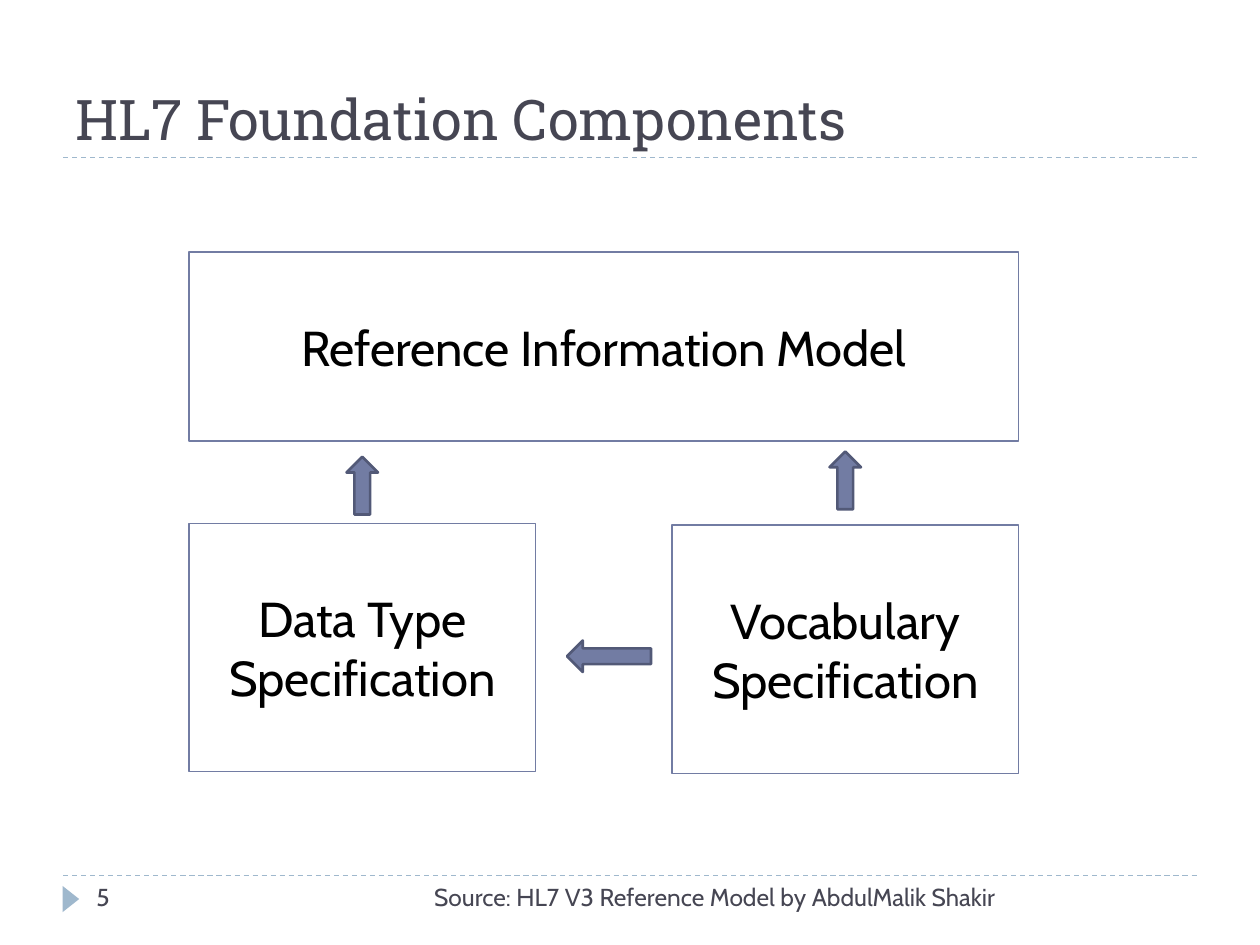
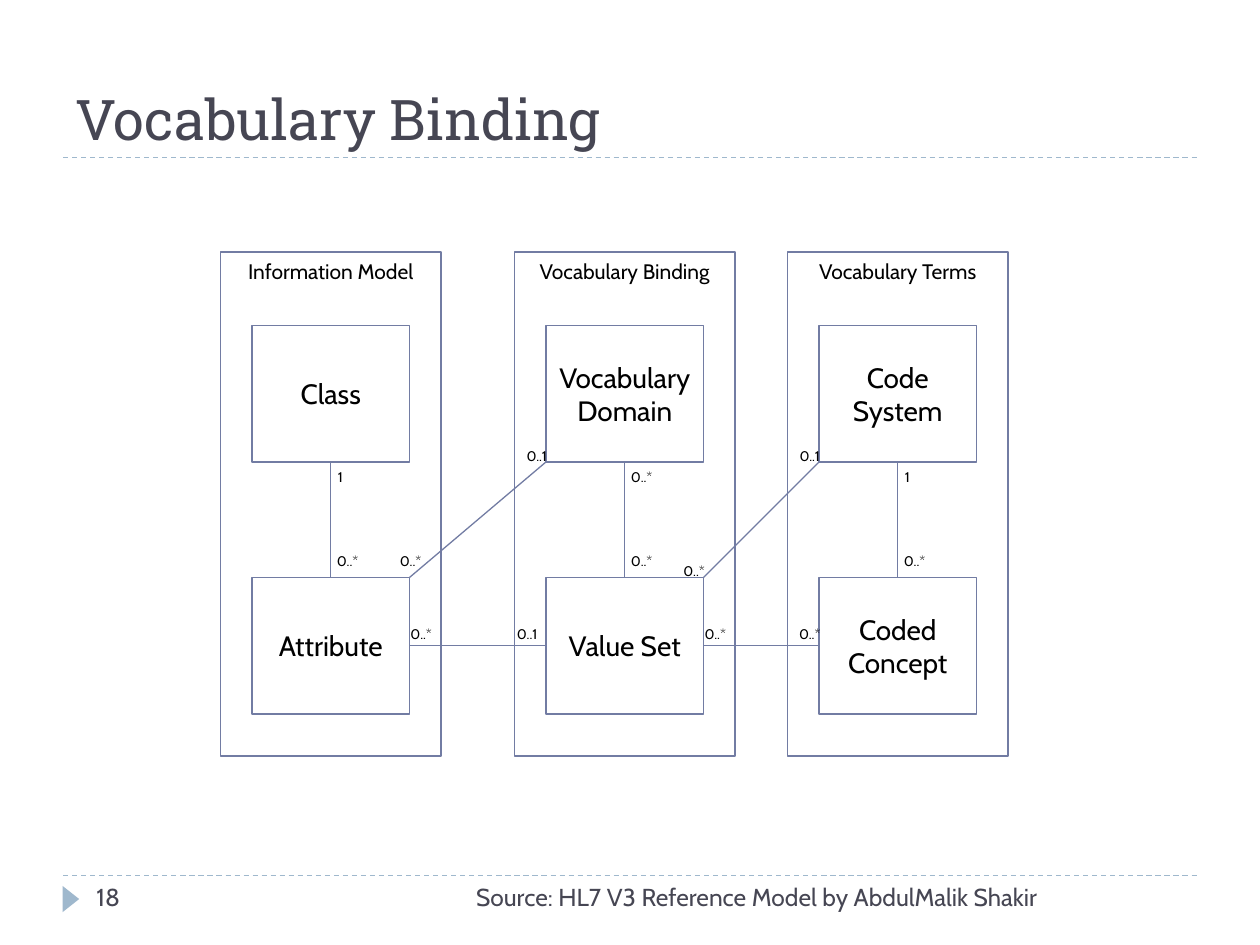
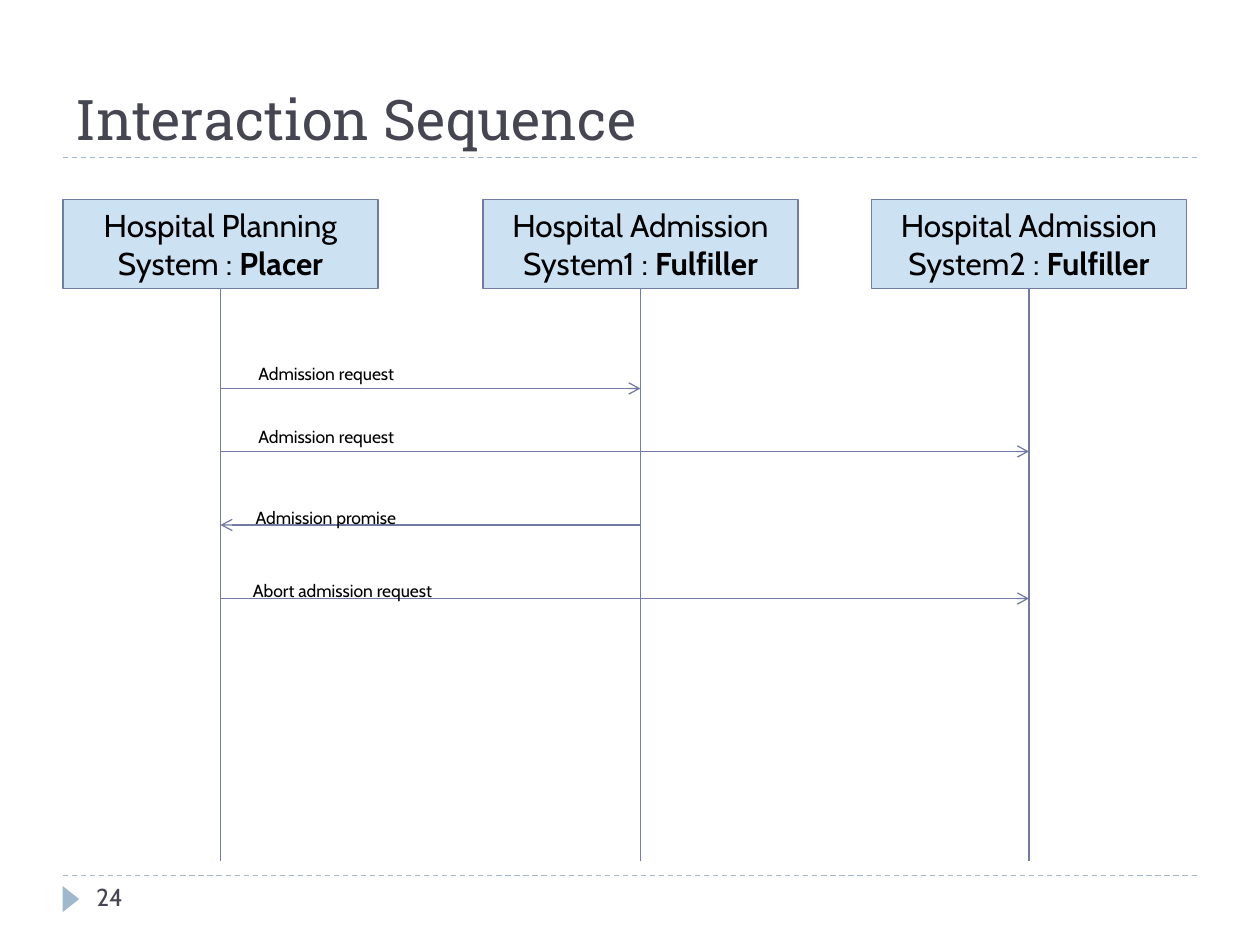
from dataclasses import dataclass
from typing import Optional

from lxml.etree import SubElement
from pptx import Presentation
from pptx.dml.color import RGBColor
from pptx.enum.dml import MSO_LINE
from pptx.enum.shapes import MSO_CONNECTOR, MSO_SHAPE
from pptx.enum.text import MSO_ANCHOR, PP_ALIGN
from pptx.oxml.ns import qn
from pptx.util import Pt

COLORS = {
    "text": "000000",
    "heading": "464653",
    "outline": "727CA3",
    "arrow_edge": "525977",
    "accent": "9FB8CD",
    "header": "0070C0",
}
BODY_FONT = "Cabin"
TITLE_FONT = "Roboto Slab"
TOP, LEFT, BOTTOM, RIGHT = 0, 1, 2, 3
SOURCE = "Source: HL7 V3 Reference Model by AbdulMalik Shakir"


@dataclass(frozen=True)
class Frame:
    left: float
    top: float
    width: float
    height: float

    @property
    def right(self) -> float:
        return self.left + self.width

    @property
    def bottom(self) -> float:
        return self.top + self.height

    @property
    def center(self) -> float:
        return self.left + self.width / 2

    def lengths(self) -> tuple:
        return Pt(self.left), Pt(self.top), Pt(self.width), Pt(self.height)


@dataclass(frozen=True)
class TextStyle:
    size: float
    color: str = "text"
    font: str = BODY_FONT
    align: PP_ALIGN = PP_ALIGN.LEFT
    anchor: MSO_ANCHOR = MSO_ANCHOR.TOP
    wrap: bool = True


@dataclass(frozen=True)
class Column:
    left: float
    heading: str
    upper: str
    lower: str
    upper_count: str


@dataclass(frozen=True)
class Label:
    left: float
    top: float
    text: str


@dataclass(frozen=True)
class Participant:
    left: float
    system: str
    role: str


@dataclass(frozen=True)
class Message:
    text: str
    sender: int
    receiver: int
    line_top: float
    label: Frame


TITLE_STYLE = TextStyle(32, "heading", TITLE_FONT, anchor=MSO_ANCHOR.BOTTOM)
NUMBER_STYLE = TextStyle(14, "heading")
SOURCE_STYLE = TextStyle(14, "heading", align=PP_ALIGN.RIGHT)
COMPONENT_STYLE = TextStyle(28, align=PP_ALIGN.CENTER, anchor=MSO_ANCHOR.MIDDLE)
PANEL_STYLE = TextStyle(12, align=PP_ALIGN.CENTER)
ENTITY_STYLE = TextStyle(16, align=PP_ALIGN.CENTER, anchor=MSO_ANCHOR.MIDDLE)
COUNT_STYLE = TextStyle(8, align=PP_ALIGN.CENTER, wrap=False)
HEADER_STYLE = TextStyle(18, align=PP_ALIGN.CENTER)
MESSAGE_STYLE = TextStyle(10, wrap=False)

COMPONENTS = [
    (Frame(108, 144, 474, 108), ["Reference Information Model"]),
    (Frame(108, 299, 198, 142), ["Data Type", "Specification"]),
    (Frame(384, 300, 198, 142), ["Vocabulary", "Specification"]),
]
BLOCK_ARROWS = [
    (Frame(324, 366, 48, 18), 0),
    (Frame(190.5, 268.5, 33, 18), 90),
    (Frame(466.5, 265.5, 33, 18), 90),
]
COLUMNS = [
    Column(126, "Information Model", "Class", "Attribute", "1"),
    Column(294, "Vocabulary Binding", "Vocabulary Domain", "Value Set", "0..*"),
    Column(450, "Vocabulary Terms", "Code System", "Coded Concept", "1"),
]
COUNTS = [
    Label(221, 312, "0..*"),
    Label(227, 354, "0..*"),
    Label(395, 354, "0..*"),
    Label(449, 354, "0..*"),
    Label(383, 318, "0..*"),
    Label(293, 252, "0..1"),
    Label(287.5, 354, "0..1"),
    Label(449, 252, "0..1"),
]
PARTICIPANTS = [
    Participant(36, "Hospital Planning System : ", "Placer"),
    Participant(276, "Hospital Admission System1 : ", "Fulfiller"),
    Participant(498, "Hospital Admission System2 : ", "Fulfiller"),
]
MESSAGES = [
    Message("Admission request", 0, 1, 222, Frame(140.5, 204, 101.5, 19.5)),
    Message("Admission request", 0, 2, 258, Frame(140.5, 240, 101.5, 19.5)),
    Message("Admission promise", 1, 0, 300, Frame(139, 286, 103.5, 19.5)),
    Message("Abort admission request", 0, 2, 342, Frame(137.5, 328, 129.5, 19.5)),
]


def rgb(name: str) -> RGBColor:
    return RGBColor.from_string(COLORS[name])


def style_text(shape, style: TextStyle) -> None:
    frame = shape.text_frame
    frame.word_wrap = style.wrap
    frame.vertical_anchor = style.anchor
    for para in frame.paragraphs:
        para.alignment = style.align
        for span in para.runs:
            span.font.size = Pt(style.size)
            span.font.name = style.font
            span.font.color.rgb = rgb(style.color)


def add_text(page, frame: Frame, text: str, style: TextStyle):
    box = page.shapes.add_textbox(*frame.lengths())
    box.text_frame.text = text
    style_text(box, style)
    return box


def add_preset(page, preset: MSO_SHAPE, frame: Frame, fill: Optional[str] = None,
               edge: Optional[str] = None, edge_width: float = 0.75):
    shape = page.shapes.add_shape(preset, *frame.lengths())
    shape.shadow.inherit = False
    if fill:
        shape.fill.solid()
        shape.fill.fore_color.rgb = rgb(fill)
    else:
        shape.fill.background()
    if edge:
        shape.line.color.rgb = rgb(edge)
        shape.line.width = Pt(edge_width)
    else:
        shape.line.fill.background()
    return shape


def add_box(page, frame: Frame, text: str, style: TextStyle):
    box = add_preset(page, MSO_SHAPE.RECTANGLE, frame, edge="outline")
    box.text_frame.text = text
    style_text(box, style)
    return box


def add_line(page, start: tuple, end: tuple, color: str = "outline"):
    line = page.shapes.add_connector(
        MSO_CONNECTOR.STRAIGHT, *(Pt(value) for value in (*start, *end)))
    line.line.color.rgb = rgb(color)
    line.line.width = Pt(0.75)
    SubElement(line._element.spPr, qn("a:effectLst"))
    return line


def join_boxes(page, first, first_side: int, second, second_side: int) -> None:
    line = add_line(page, (0, 0), (0, 0))
    line.begin_connect(first, first_side)
    line.end_connect(second, second_side)


def add_page(deck, title: str, number: str, source_right: Optional[float] = None):
    page = deck.slides.add_slide(deck.slide_layouts[6])
    for top in (500.5, 90):
        rule = add_line(page, (36, top), (684, top), "accent")
        rule.line.dash_style = MSO_LINE.DASH
    marker = add_preset(page, MSO_SHAPE.ISOSCELES_TRIANGLE,
                        Frame(33, 509, 15, 9.5), "accent")
    marker.rotation = 90
    add_text(page, Frame(36, 18, 648, 72), title, TITLE_STYLE)
    add_text(page, Frame(48, 500.5, 156, 29), number, NUMBER_STYLE)
    if source_right:
        add_text(page, Frame(228, 500.5, source_right - 228, 29), SOURCE, SOURCE_STYLE)
    return page


def add_count(page, label: Label) -> None:
    width = 19 if len(label.text) == 1 else 27.5
    add_text(page, Frame(label.left, label.top, width, 17), label.text, COUNT_STYLE)


def build_components(deck) -> None:
    page = add_page(deck, "HL7 Foundation Components", "5", 576)
    for frame, lines in COMPONENTS:
        add_box(page, frame, "\n".join(lines), COMPONENT_STYLE)
    for frame, angle in BLOCK_ARROWS:
        arrow = add_preset(page, MSO_SHAPE.LEFT_ARROW, frame, "outline", "arrow_edge", 1.5)
        arrow.rotation = angle


def build_binding(deck) -> None:
    page = add_page(deck, "Vocabulary Binding", "18", 600)
    upper_frames = [Frame(column.left + 18, 186, 90, 78) for column in COLUMNS]
    lower_frames = [Frame(column.left + 18, 330, 90, 78) for column in COLUMNS]
    lower_boxes = []
    for column, upper, lower in zip(COLUMNS, upper_frames, lower_frames):
        add_box(page, Frame(column.left, 144, 126, 288), column.heading, PANEL_STYLE)
        upper_box = add_box(page, upper, column.upper, ENTITY_STYLE)
        lower_box = add_box(page, lower, column.lower, ENTITY_STYLE)
        join_boxes(page, upper_box, BOTTOM, lower_box, TOP)
        add_count(page, Label(upper.center - 4, upper.bottom, column.upper_count))
        add_count(page, Label(upper.center - 4, lower.top - 18, "0..*"))
        lower_boxes.append(lower_box)
    for first, second in zip(lower_boxes, lower_boxes[1:]):
        join_boxes(page, first, RIGHT, second, LEFT)
    for lower, upper in zip(lower_frames, upper_frames[1:]):
        add_line(page, (lower.right, lower.top), (upper.left, upper.bottom))
    for label in COUNTS:
        add_count(page, label)


def add_participant(page, participant: Participant) -> float:
    frame = Frame(participant.left, 114, 180, 51)
    header = add_preset(page, MSO_SHAPE.RECTANGLE, frame, "header", "outline")
    color = header._element.spPr.find(qn("a:solidFill"))[0]
    SubElement(color, qn("a:alpha"), val="20000")
    para = header.text_frame.paragraphs[0]
    para.text = participant.system
    role = para.add_run()
    role.text = participant.role
    role.font.bold = True
    style_text(header, HEADER_STYLE)
    lifeline = add_line(page, (frame.center, frame.bottom), (frame.center, 492))
    lifeline.begin_connect(header, BOTTOM)
    return frame.center


def build_sequence(deck) -> None:
    page = add_page(deck, "Interaction Sequence", "24")
    lifelines = [add_participant(page, participant) for participant in PARTICIPANTS]
    for message in MESSAGES:
        arrow = add_line(page, (lifelines[message.sender], message.line_top),
                         (lifelines[message.receiver], message.line_top))
        SubElement(arrow.line._get_or_add_ln(), qn("a:tailEnd"), type="arrow")
        add_text(page, message.label, message.text, MESSAGE_STYLE)


def main() -> None:
    deck = Presentation()
    deck.slide_width = Pt(720)
    deck.slide_height = Pt(540)
    build_components(deck)
    build_binding(deck)
    build_sequence(deck)
    deck.save("out.pptx")


if __name__ == "__main__":
    main()
